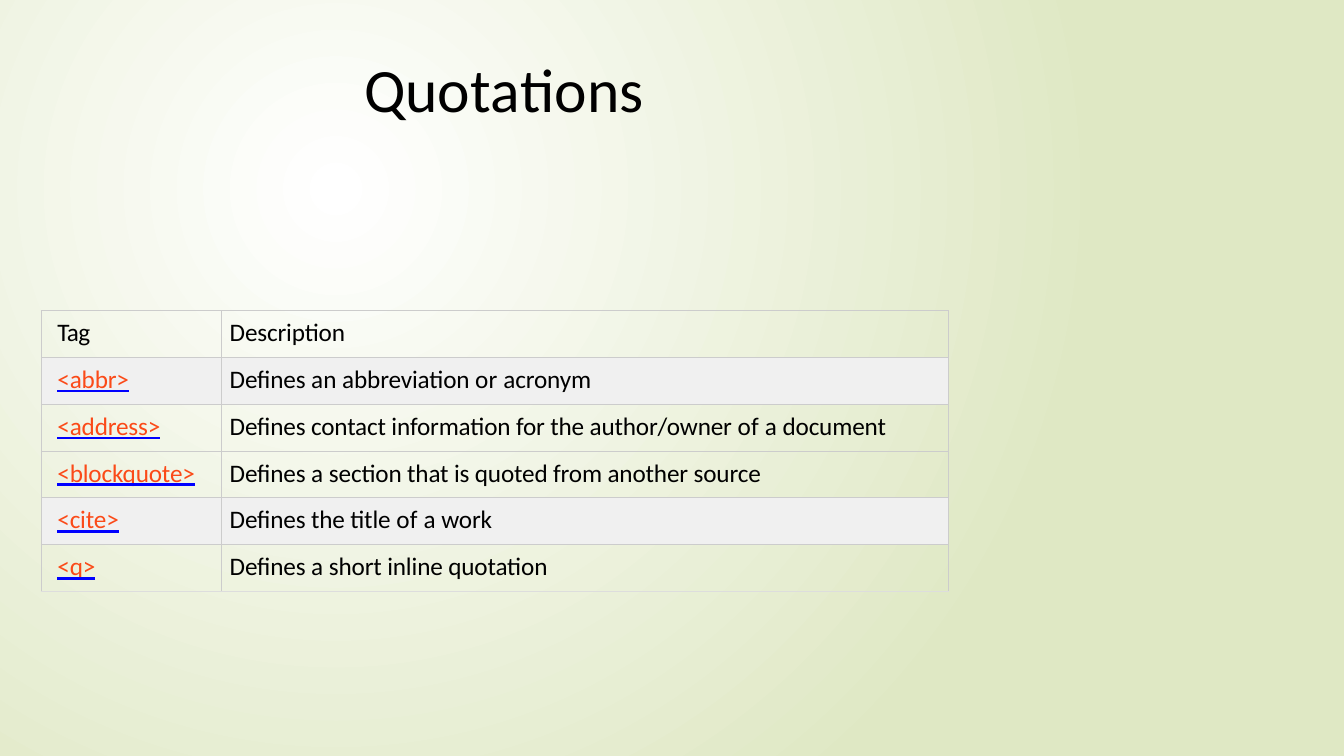
from lxml import etree
from pptx import Presentation
from pptx.dml.color import RGBColor
from pptx.oxml import parse_xml
from pptx.oxml.ns import nsdecls, qn
from pptx.util import Pt

FONT = "Calibri"
COLORS = {"text": "000000", "tag": "FB4A18", "underline": "0000FF", "band": "F0F0F0",
          "border": "CCCCCC", "bottom": "DDDDDD", "glow": "FFFFFF", "green": "DFE8C4"}

# Runs are (text, letter spacing in points)
TITLE = [("Quo", -0.1), ("t", -0.6), ("a", -0.5), ("tions", -0.1)]
HEADER = ([("Tag", -0.5)], [("Description", -0.1)])
TAGS = [
    ("<abbr>", [("Defines ", -0.1), ("an ", 0), ("abbreviation ", -0.1),
                ("or ", 0.1), ("acronym", -0.1)]),
    ("<address>", [("Defines contact information for the author/owner ", -0.1),
                   ("of ", 0.1), ("a ", 0), ("document", -0.1)]),
    ("<blockquote>", [("Defines ", -0.1), ("a ", 0),
                      ("section that is quoted from another source", -0.1)]),
    ("<cite>", [("Defines the title", -0.1), (" of ", 0.1), ("a", 0), (" work", -0.1)]),
    ("<q>", [("Defines ", -0.1), ("a ", 0), ("short inline quotation", -0.1)]),
]
BANDED = {"<abbr>", "<cite>"}

TITLE_BOX = (259.2, 36.7, 346.3, 54.7)
TABLE_LEFT, TABLE_TOP, ROW_HEIGHT = 29.5, 221.8, 33.45
COL_WIDTHS = (128.8, 519.2)
INDENTS = (11.5, 5.8)


def add_runs(p, runs, size, color, underline=None):
    for words, spacing in runs:
        r = p.add_run()
        r.text = words
        f = r.font
        f.name, f.size = FONT, Pt(size)
        f.color.rgb = RGBColor.from_string(COLORS[color])
        rPr = r._r.get_or_add_rPr()
        rPr.set("spc", str(round(spacing * 100)))
        if underline:
            f.underline = True
            rPr.find(qn("a:latin")).addprevious(parse_xml(
                f'<a:uFill {nsdecls("a")}><a:solidFill>'
                f'<a:srgbClr val="{COLORS[underline]}"/></a:solidFill></a:uFill>'))


def set_borders(cell, bottom):
    tcPr = cell._tc.get_or_add_tcPr()
    sides = {"lnL": "border", "lnR": "border", "lnT": "border", "lnB": bottom}
    for i, (side, color) in enumerate(sides.items()):
        tcPr.insert(i, parse_xml(
            f'<a:{side} {nsdecls("a")} w="{Pt(0.75)}"><a:solidFill>'
            f'<a:srgbClr val="{COLORS[color]}"/></a:solidFill></a:{side}>'))


def set_background(s):
    """Circular gradient centred a quarter of the way across and down."""
    s.background.fill.solid()
    bgPr = s.background._cSld.bg.bgPr
    bgPr.replace(bgPr.find(qn("a:solidFill")), parse_xml(
        f'<a:gradFill {nsdecls("a")} rotWithShape="1"><a:gsLst>'
        f'<a:gs pos="0"><a:srgbClr val="{COLORS["glow"]}"/></a:gs>'
        f'<a:gs pos="100000"><a:srgbClr val="{COLORS["green"]}"/></a:gs></a:gsLst>'
        '<a:path path="circle"><a:fillToRect l="50000" t="50000" r="100000" b="100000"/>'
        '</a:path></a:gradFill>'))


def add_title(s):
    tf = s.shapes.add_textbox(*map(Pt, TITLE_BOX)).text_frame
    tf.word_wrap = True
    tf.margin_top = tf.margin_right = tf.margin_bottom = 0
    tf.margin_left = Pt(0.9)
    add_runs(tf.paragraphs[0], TITLE, 44, "text")


def add_tag_table(s):
    rows = [HEADER] + [([(tag, -0.1)], description) for tag, description in TAGS]
    table = s.shapes.add_table(
        len(rows), len(COL_WIDTHS), Pt(TABLE_LEFT), Pt(TABLE_TOP),
        Pt(sum(COL_WIDTHS)), Pt(ROW_HEIGHT * len(rows))).table
    table.first_row = table.horz_banding = False
    for col, width in zip(table.columns, COL_WIDTHS):
        col.width = Pt(width)
    for i, row in enumerate(rows):
        table.rows[i].height = Pt(ROW_HEIGHT)
        for j, runs in enumerate(row):
            cell = table.cell(i, j)
            cell.margin_left, cell.margin_top = Pt(INDENTS[j]), Pt(5)
            cell.margin_right = cell.margin_bottom = 0
            if row[0][0][0] in BANDED:
                cell.fill.solid()
                cell.fill.fore_color.rgb = RGBColor.from_string(COLORS["band"])
            else:
                cell.fill.background()
            set_borders(cell, "bottom" if i == len(rows) - 1 else "border")
            is_tag = i > 0 and j == 0
            add_runs(cell.text_frame.paragraphs[0], runs, 18,
                     "tag" if is_tag else "text", "underline" if is_tag else None)


def main():
    prs = Presentation()
    prs.slide_width, prs.slide_height = Pt(960), Pt(540)
    s = prs.slides.add_slide(prs.slide_layouts[6])
    set_background(s)
    add_title(s)
    add_tag_table(s)
    prs.save("out.pptx")


if __name__ == "__main__":
    main()
